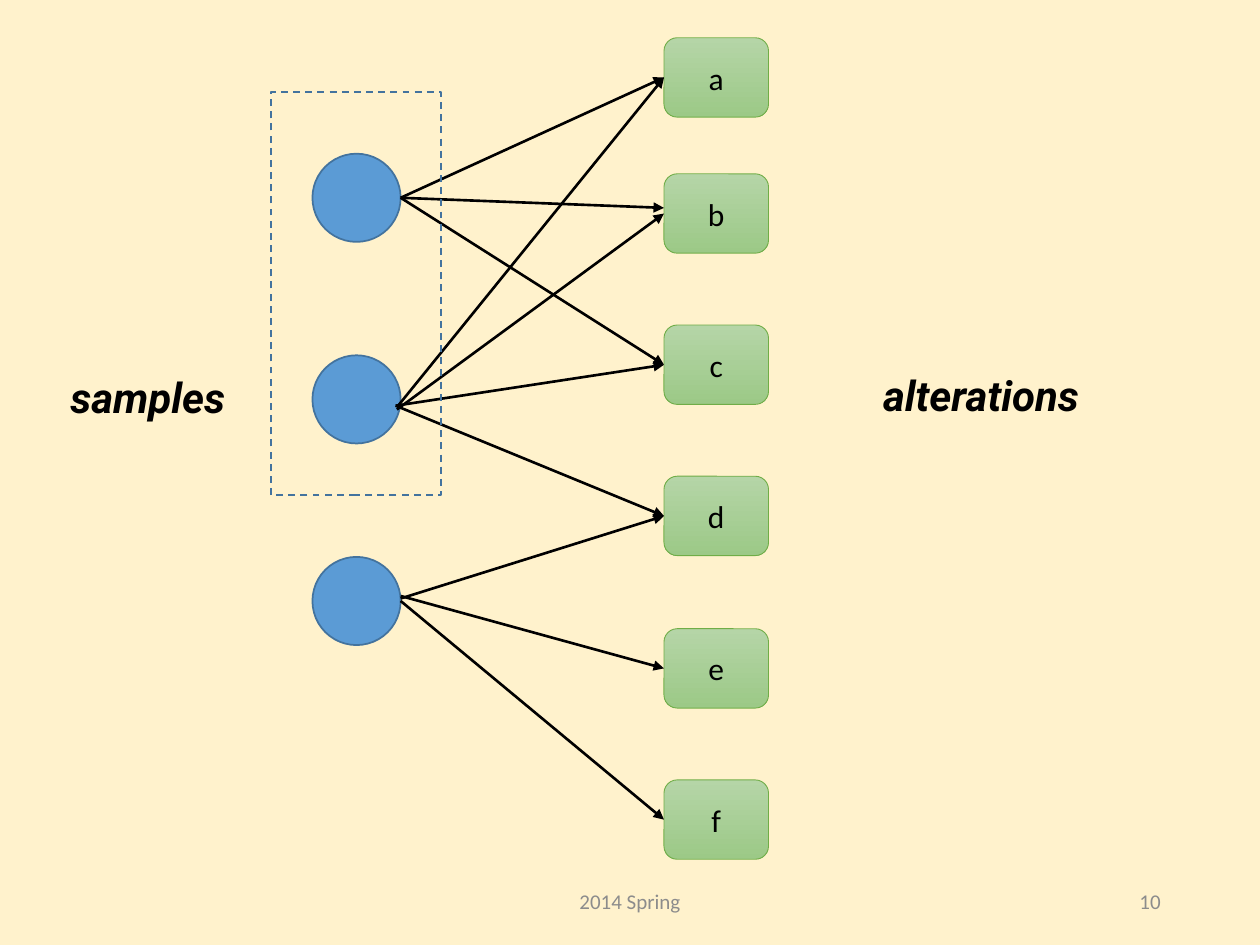
from lxml import etree
from pptx import Presentation
from pptx.dml.color import RGBColor
from pptx.enum.dml import MSO_LINE
from pptx.enum.shapes import MSO_CONNECTOR, MSO_SHAPE
from pptx.enum.text import MSO_ANCHOR, MSO_AUTO_SIZE, PP_ALIGN
from pptx.oxml.ns import qn
from pptx.util import Inches, Pt

COLORS = {
    "background": "FFF2CC",
    "sample": "5B9BD5",
    "sample_line": "43739E",
    "box_top": "B5D5A7",
    "box_bottom": "9CC987",
    "box_line": "70AD47",
    "text": "000000",
    "footer": "8C8C8C",
}

SAMPLE_X, SAMPLE_SIZE = 2.48, 0.7
SAMPLE_TOPS = [1.22 + 1.6 * i for i in range(3)]
BOX_X, BOX_W, BOX_H = 5.27, 0.83, 0.63
BOX_TOPS = {"a": 0.3, "b": 1.38, "c": 2.58, "d": 3.78, "e": 4.99, "f": 6.19}

# Start point, target box, and end height where it misses the box's middle
ARROWS = [
    (3.18, 1.57, "a", None),
    (3.16, 3.22, "a", None),
    (3.18, 1.57, "c", None),
    (3.18, 1.57, "b", 1.65),
    (3.15, 3.25, "b", None),
    (3.14, 3.22, "d", None),
    (3.14, 3.22, "c", None),
    (3.18, 4.75, "d", None),
    (3.18, 4.73, "e", None),
    (3.18, 4.77, "f", None),
]


def color(name):
    return RGBColor.from_string(COLORS[name])


def write(sp, text, size, font, color_name, align):
    tf = sp.text_frame
    p = tf.paragraphs[0]
    p.text = text
    p.alignment = align
    r = p.runs[0]
    r.font.size = Pt(size)
    r.font.name = font
    r.font.color.rgb = color(color_name)
    return r


def add_outlined(s, kind, x, y, w, h, line, width):
    sp = s.shapes.add_shape(kind, Inches(x), Inches(y), Inches(w), Inches(h))
    sp.shadow.inherit = False
    sp.line.color.rgb = color(line)
    sp.line.width = Pt(width)
    return sp


def add_sample(s, y):
    sp = add_outlined(s, MSO_SHAPE.OVAL, SAMPLE_X, y, SAMPLE_SIZE, SAMPLE_SIZE,
                      "sample_line", 1)
    sp.fill.solid()
    sp.fill.fore_color.rgb = color("sample")


def add_alteration(s, name, y):
    sp = add_outlined(s, MSO_SHAPE.ROUNDED_RECTANGLE, BOX_X, y, BOX_W, BOX_H,
                      "box_line", 0.5)
    sp.fill.gradient()
    sp.fill.gradient_angle = 270
    for stop, shade in zip(sp.fill.gradient_stops, ("box_top", "box_bottom")):
        stop.color.rgb = color(shade)
    sp.text_frame.vertical_anchor = MSO_ANCHOR.MIDDLE
    write(sp, name, 18, "Calibri", "text", PP_ALIGN.CENTER)
    return sp


def add_arrow(s, x, y, box, end_y):
    middle = box.top + box.height // 2
    end = middle if end_y is None else Inches(end_y)
    line = s.shapes.add_connector(MSO_CONNECTOR.STRAIGHT, Inches(x), Inches(y),
                                  box.left, end)
    if end_y is None:
        line.end_connect(box, 1)
    line.line.color.rgb = color("text")
    line.line.width = Pt(1.5)
    # Arrowhead at the end, and no shadow
    etree.SubElement(line.line._get_or_add_ln(), qn("a:tailEnd"), type="triangle")
    etree.SubElement(line._element.spPr, qn("a:effectLst"))


def add_group_frame(s):
    sp = add_outlined(s, MSO_SHAPE.RECTANGLE, 2.15, 0.73, 1.35, 3.2,
                      "sample_line", 1)
    sp.fill.background()
    sp.line.dash_style = MSO_LINE.DASH


def add_heading(s, text, x, y, w):
    sp = s.shapes.add_textbox(Inches(x), Inches(y), Inches(w), Inches(0.5))
    sp.text_frame.word_wrap = False
    sp.text_frame.auto_size = MSO_AUTO_SIZE.SHAPE_TO_FIT_TEXT
    r = write(sp, text, 24, "Roboto", "text", PP_ALIGN.LEFT)
    r.font.bold = True
    r.font.italic = True


def add_footer(s, text, x, w, align):
    sp = s.shapes.add_textbox(Inches(x), Inches(6.95), Inches(w), Inches(0.4))
    sp.text_frame.word_wrap = True
    sp.text_frame.vertical_anchor = MSO_ANCHOR.MIDDLE
    write(sp, text, 12, "Calibri", "footer", align)


def main():
    prs = Presentation()
    prs.slide_width, prs.slide_height = Inches(10), Inches(7.5)
    s = prs.slides.add_slide(prs.slide_layouts[6])
    s.background.fill.solid()
    s.background.fill.fore_color.rgb = color("background")

    # Footer
    add_footer(s, "2014 Spring", 3.31, 3.38, PP_ALIGN.CENTER)
    add_footer(s, "10", 7.06, 2.25, PP_ALIGN.RIGHT)

    # Samples and alterations
    for y in SAMPLE_TOPS:
        add_sample(s, y)
    boxes = {name: add_alteration(s, name, y) for name, y in BOX_TOPS.items()}

    # Links between them
    for x, y, name, end_y in ARROWS:
        add_arrow(s, x, y, boxes[name], end_y)

    # Frame around the first two samples, and headings
    add_group_frame(s)
    add_heading(s, "samples", 0.46, 2.9, 1.52)
    add_heading(s, "alterations", 6.91, 2.88, 1.99)

    prs.save("out.pptx")


if __name__ == "__main__":
    main()
